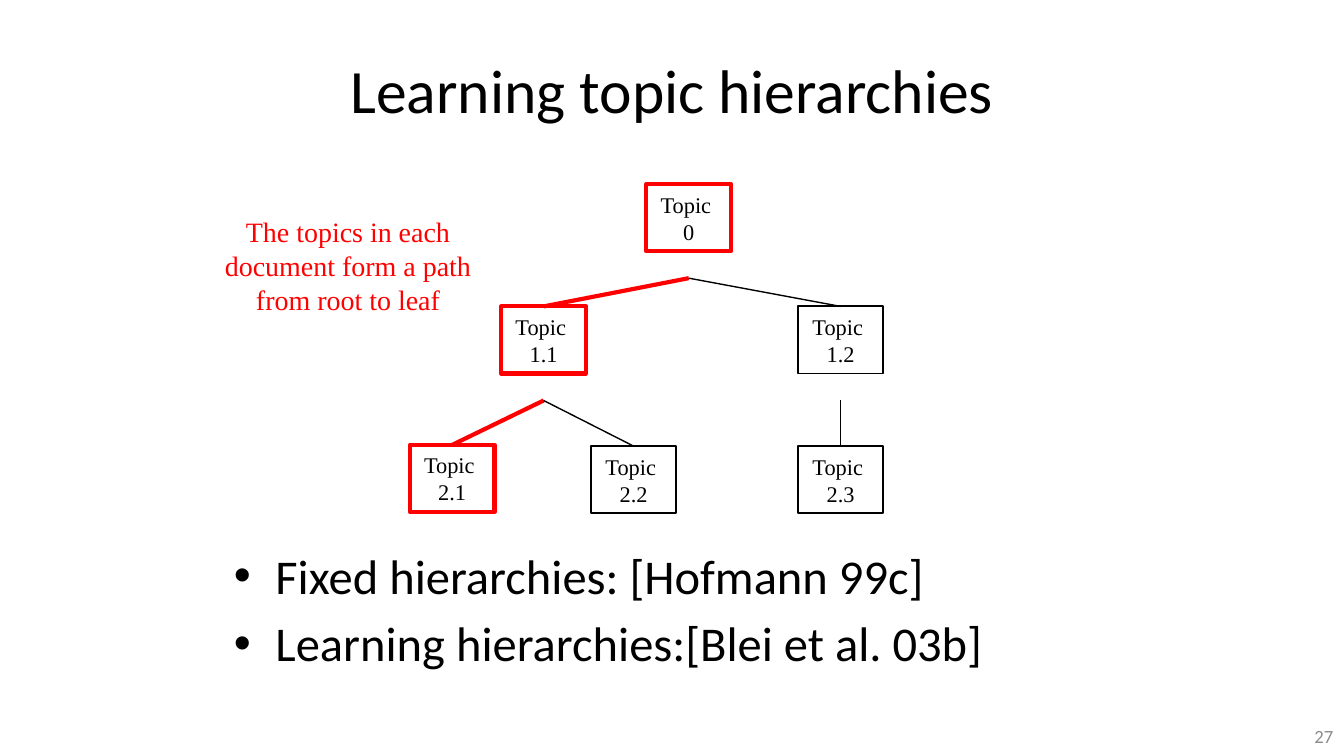
from lxml.etree import SubElement
from pptx import Presentation
from pptx.dml.color import RGBColor
from pptx.enum.shapes import MSO_CONNECTOR, MSO_SHAPE
from pptx.enum.text import MSO_ANCHOR, PP_ALIGN
from pptx.oxml.ns import qn
from pptx.util import Inches, Pt

# Content
TITLE = "Learning topic hierarchies"
NOTE = "The topics in each document form a path from root to leaf"
BULLETS = ["Fixed hierarchies: [Hofmann 99c]", "Learning hierarchies:[Blei et al. 03b]"]
PAGE_NUMBER = "27"

# Topic number: left, top
TOPICS = {
    "0": (4.81, 1.37),
    "1.1": (3.73, 2.28),
    "1.2": (5.94, 2.28),
    "2.1": (3.05, 3.31),
    "2.2": (4.4, 3.32),
    "2.3": (5.94, 3.32),
}
BRANCHES = [("0", "1.1"), ("0", "1.2"), ("1.1", "2.1"), ("1.1", "2.2"), ("1.2", "2.3")]
CHOSEN_PATH = {"0", "1.1", "2.1"}

TOPIC_WIDTH, TOPIC_HEIGHT = 0.63, 0.5
BRANCH_GAP = 0.2  # space between a parent box and its branches
BLACK, RED, GRAY = "000000", "FF0000", "8C8C8C"
SANS, SERIF = "Calibri", "Times New Roman"


def color(hex_code):
    return RGBColor.from_string(hex_code)


def write(paragraph, text, size, font, hex_code, align):
    paragraph.alignment = align
    run = paragraph.add_run()
    run.text = text
    run.font.size = Pt(size)
    run.font.name = font
    run.font.color.rgb = color(hex_code)


def set_frame(frame, anchor, side=0.1, edge=0.05, wrap=True):
    frame.word_wrap = wrap
    frame.vertical_anchor = anchor
    frame.margin_left = frame.margin_right = Inches(side)
    frame.margin_top = frame.margin_bottom = Inches(edge)
    return frame


def add_text_frame(left, top, width, height, anchor, side=0.08, edge=0.04):
    box = slide.shapes.add_textbox(*map(Inches, (left, top, width, height)))
    return set_frame(box.text_frame, anchor, side, edge)


def add_bullet(paragraph):
    properties = paragraph._p.get_or_add_pPr()
    properties.set("marL", str(Inches(0.31)))
    properties.set("indent", str(-Inches(0.31)))
    SubElement(properties, qn("a:buFont"), typeface="Arial")
    SubElement(properties, qn("a:buChar"), char="•")


# Widescreen 16:9 slide
prs = Presentation()
prs.slide_width = Inches(10)
prs.slide_height = prs.slide_width * 9 // 16
slide = prs.slides.add_slide(prs.slide_layouts[5])

# Title
title = slide.shapes.title
title.left, title.top, title.width, title.height = map(Inches, (1.81, 0.19, 6.38, 0.94))
title_frame = set_frame(title.text_frame, MSO_ANCHOR.MIDDLE, 0.08, 0.04)
write(title_frame.paragraphs[0], TITLE, 33, SANS, BLACK, PP_ALIGN.CENTER)

# Topic boxes
boxes = {}
for topic, (left, top) in TOPICS.items():
    chosen = topic in CHOSEN_PATH
    box = slide.shapes.add_shape(
        MSO_SHAPE.RECTANGLE, *map(Inches, (left, top, TOPIC_WIDTH, TOPIC_HEIGHT)))
    box.shadow.inherit = False
    box.fill.background()
    box.line.color.rgb = color(RED if chosen else BLACK)
    box.line.width = Pt(2.25 if chosen else 1)
    frame = set_frame(box.text_frame, MSO_ANCHOR.MIDDLE, wrap=False)
    write(frame.paragraphs[0], "Topic ", 12, SERIF, BLACK, PP_ALIGN.CENTER)
    write(frame.add_paragraph(), topic, 12, SERIF, BLACK, PP_ALIGN.CENTER)
    boxes[topic] = box

# Branches, starting just below the parent and ending on the child's top side
for parent, child in BRANCHES:
    chosen = {parent, child} <= CHOSEN_PATH
    upper = boxes[parent]
    start_x = upper.left + upper.width // 2
    start_y = upper.top + upper.height + Inches(BRANCH_GAP)
    branch = slide.shapes.add_connector(
        MSO_CONNECTOR.STRAIGHT, start_x, start_y, start_x, start_y)
    branch.end_connect(boxes[child], 0)
    branch.line.color.rgb = color(RED if chosen else BLACK)
    branch.line.width = Pt(2.25 if chosen else 0.75)
    SubElement(branch._element.spPr, qn("a:effectLst"))

# Note on the chosen path
note = add_text_frame(1.35, 1.55, 2.48, 0.86, MSO_ANCHOR.TOP, 0.1, 0.05)
write(note.paragraphs[0], NOTE, 15, SERIF, RED, PP_ALIGN.CENTER)

# Bullets
body = add_text_frame(1.66, 4.02, 6.71, 1.23, MSO_ANCHOR.TOP)
for index, bullet in enumerate(BULLETS):
    paragraph = body.add_paragraph() if index else body.paragraphs[0]
    paragraph.space_before = Pt(5 if index else 0)
    write(paragraph, bullet, 26, SANS, BLACK, PP_ALIGN.LEFT)
    add_bullet(paragraph)

# Page number
page = add_text_frame(7.67, 5.33, 2.33, 0.3, MSO_ANCHOR.MIDDLE)
write(page.paragraphs[0], PAGE_NUMBER, 10, SANS, GRAY, PP_ALIGN.RIGHT)

prs.save("out.pptx")
